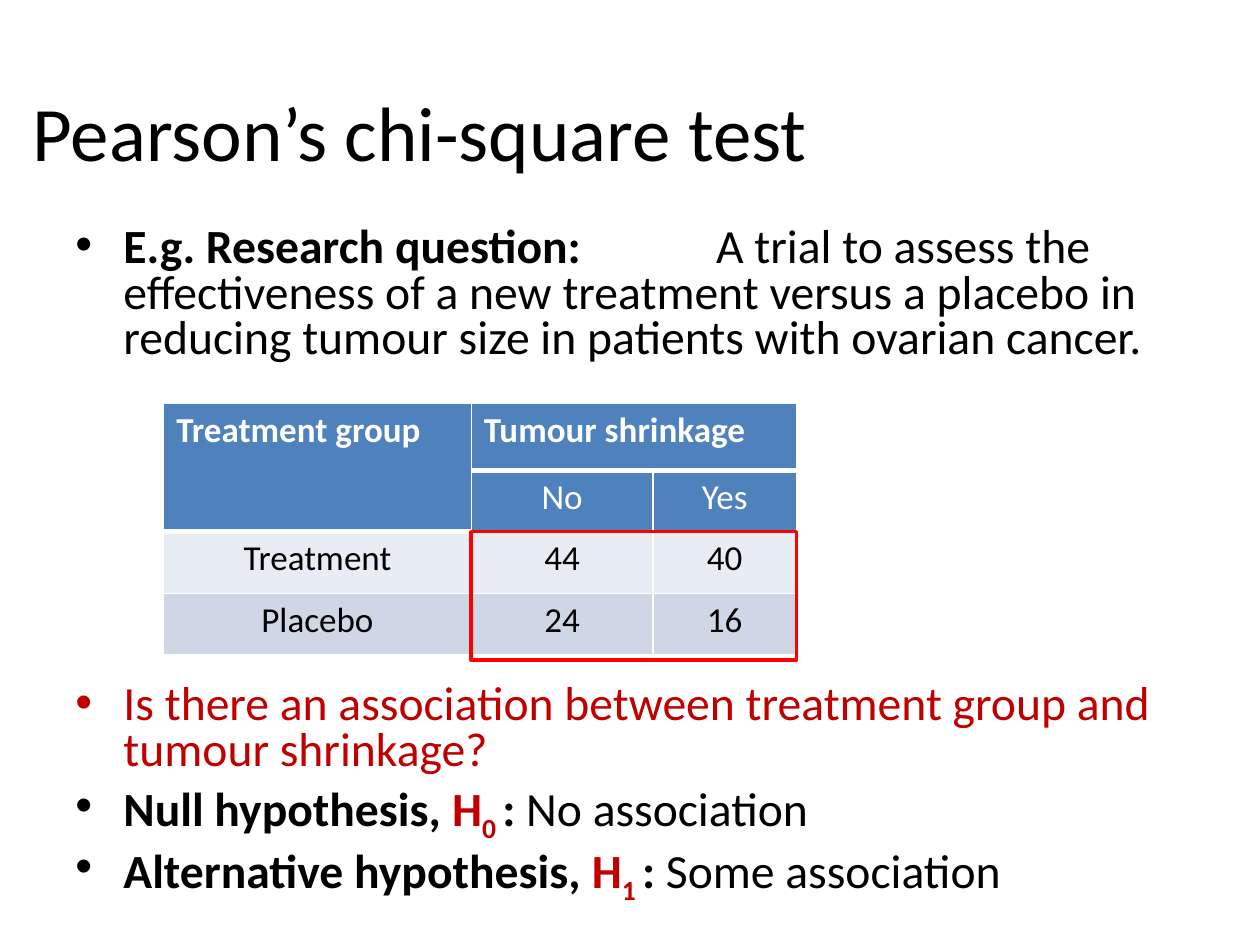
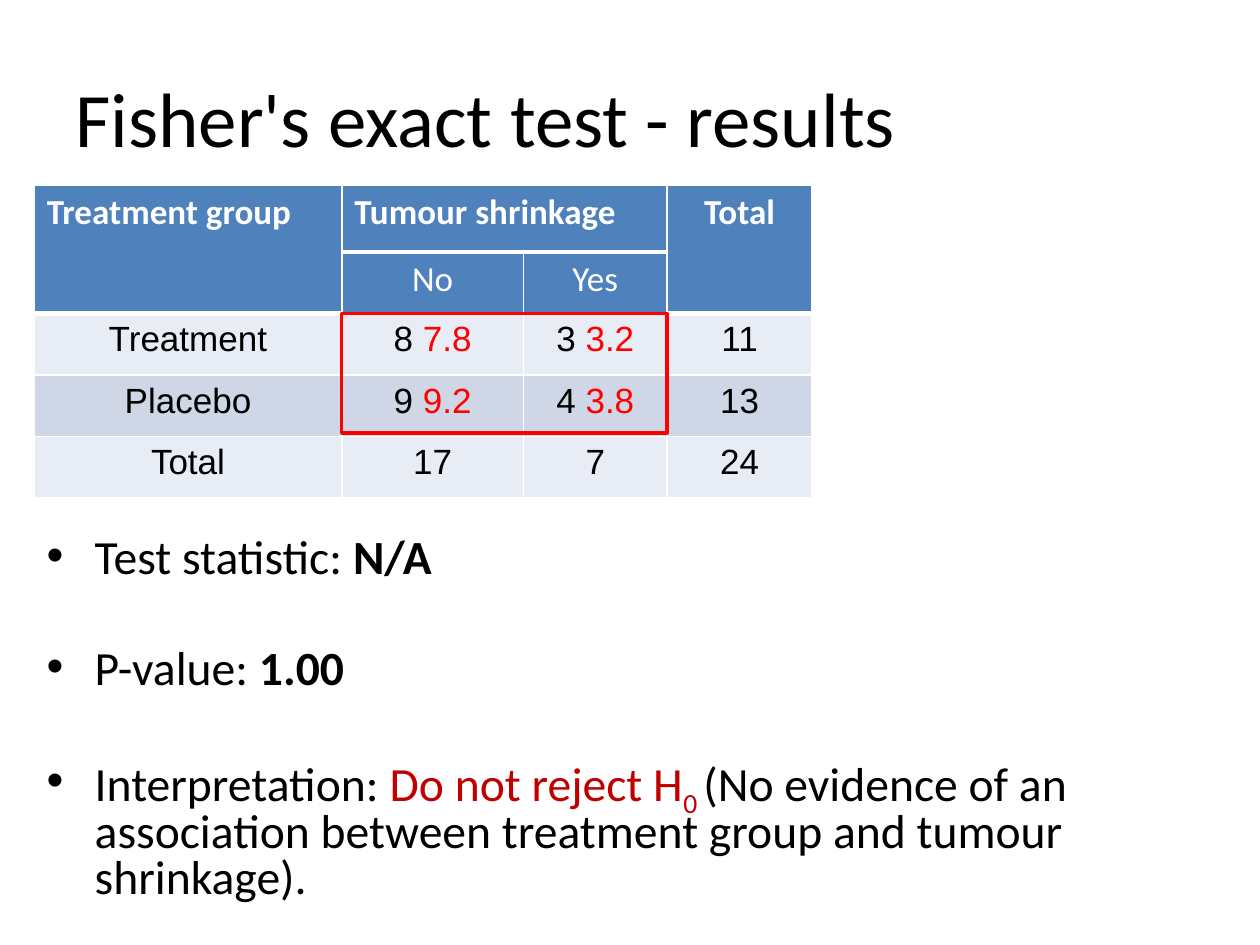
from dataclasses import dataclass

from lxml import etree
from pptx import Presentation
from pptx.dml.color import RGBColor
from pptx.enum.shapes import MSO_SHAPE
from pptx.enum.text import MSO_ANCHOR, PP_ALIGN
from pptx.oxml.ns import qn
from pptx.util import Cm, Pt

# Shared style
BLACK, WHITE = "000000", "FFFFFF"
DARK_RED, RED = "C00000", "FF0000"
HEADER_BLUE = "4F81BD"
BAND_FILLS = ["E8ECF4", "CFD7E7"]
BODY_SIZE, TABLE_SIZE, TITLE_SIZE = 27.2, 20, 44
INDENT = 0.97
COLUMN_WIDTHS = [6.2, 3.66, 2.9, 2.92]
HEADER_HEIGHT, ROW_HEIGHT = 1.35, 1.24


@dataclass
class Box:
    left: float
    top: float
    width: float
    height: float

    def lengths(self):
        return [Cm(n) for n in (self.left, self.top, self.width, self.height)]


def color(hex_string):
    return RGBColor.from_string(hex_string)


def add_run(paragraph, text, size=BODY_SIZE, font="Calibri", fill=BLACK,
            bold=False, subscript=False):
    run = paragraph.add_run()
    run.text = text
    run.font.size = Pt(size)
    run.font.name = font
    run.font.bold = bold
    run.font.color.rgb = color(fill)
    if subscript:
        run._r.get_or_add_rPr().set("baseline", "-25000")


def add_text_frame(slide, box):
    frame = slide.shapes.add_textbox(*box.lengths()).text_frame
    frame.word_wrap = True
    return frame


def add_title(slide, box, text, line_spacing=1.0, space_after=0):
    frame = add_text_frame(slide, box)
    frame.vertical_anchor = MSO_ANCHOR.MIDDLE
    paragraph = frame.paragraphs[0]
    paragraph.line_spacing = line_spacing
    paragraph.space_after = Pt(space_after)
    add_run(paragraph, text, size=TITLE_SIZE)


def set_bullet(paragraph, fill):
    properties = paragraph._p.get_or_add_pPr()
    properties.set("marL", str(Cm(INDENT)))
    properties.set("indent", str(-Cm(INDENT)))
    properties.set("defTabSz", str(Cm(2.54)))
    bullet_color = etree.SubElement(properties, qn("a:buClr"))
    etree.SubElement(bullet_color, qn("a:srgbClr"), val=fill)
    etree.SubElement(properties, qn("a:buSzPct"), val="101000")
    etree.SubElement(properties, qn("a:buFont"), typeface="Arial")
    etree.SubElement(properties, qn("a:buChar"), char="•")


def add_bullets(slide, box, bullets):
    """Each bullet is its space before, its bullet colour and its runs."""
    frame = add_text_frame(slide, box)
    for index, (space_before, bullet_fill, runs) in enumerate(bullets):
        paragraph = frame.add_paragraph() if index else frame.paragraphs[0]
        paragraph.line_spacing = 0.8
        paragraph.space_before = Pt(space_before)
        set_bullet(paragraph, bullet_fill)
        for text, style in runs:
            add_run(paragraph, text, **style)


def set_border(cell, side, width):
    line = etree.SubElement(cell._tc.get_or_add_tcPr(), qn(f"a:ln{side}"), w=str(Pt(width)))
    fill = etree.SubElement(line, qn("a:solidFill"))
    etree.SubElement(fill, qn("a:srgbClr"), val=WHITE)


def style_cell(cell, row, fill):
    set_border(cell, "L", 1)
    set_border(cell, "R", 1)
    if row == 0:
        set_border(cell, "T", 1)
    set_border(cell, "B", 3 if row == 0 or cell.is_spanned else 1)
    cell.fill.solid()
    cell.fill.fore_color.rgb = color(fill)
    if row:
        cell.vertical_anchor = MSO_ANCHOR.MIDDLE
        cell.margin_left = cell.margin_right = Cm(0.18)
        cell.margin_top = cell.margin_bottom = 0


def fill_cell(cell, row, column, value, body_font):
    """A value may hold an observed count and an expected one."""
    paragraph = cell.text_frame.paragraphs[0]
    if row or column == 3:
        paragraph.alignment = PP_ALIGN.CENTER
    if row:
        paragraph.line_spacing = 0.65
    if row < 2:
        add_run(paragraph, value, size=TABLE_SIZE, fill=WHITE, bold=row == 0)
        return
    observed, *expected = value if isinstance(value, tuple) else (value,)
    add_run(paragraph, observed, size=TABLE_SIZE, font=body_font)
    for count in expected:
        add_run(paragraph, count, size=TABLE_SIZE, font=body_font, fill=RED)


def add_contingency_table(slide, left, top, body_rows, body_font, highlight_height):
    has_total = len(body_rows[0]) == 4
    total = ["Total"] if has_total else []
    rows = [["Treatment group", "Tumour shrinkage", None] + total,
            [None, "No", "Yes"] + [None] * has_total] + body_rows
    widths = COLUMN_WIDTHS[:len(rows[0])]
    heights = [HEADER_HEIGHT] + [ROW_HEIGHT] * (len(rows) - 1)
    box = Box(left, top, sum(widths), sum(heights))
    table = slide.shapes.add_table(len(rows), len(widths), *box.lengths()).table
    for column, width in zip(table.columns, widths):
        column.width = Cm(width)
    for table_row, height in zip(table.rows, heights):
        table_row.height = Cm(height)

    # Merged headings
    table.cell(0, 0).merge(table.cell(1, 0))
    table.cell(0, 1).merge(table.cell(0, 2))
    if has_total:
        table.cell(0, 3).merge(table.cell(1, 3))

    for row, values in enumerate(rows):
        fill = HEADER_BLUE if row < 2 else BAND_FILLS[row % 2]
        for column, value in enumerate(values):
            cell = table.cell(row, column)
            style_cell(cell, row, fill)
            if value:
                fill_cell(cell, row, column, value, body_font)

    # Frame around the counts
    counts = Box(left + widths[0], top + sum(heights[:2]), sum(widths[1:3]), highlight_height)
    frame = slide.shapes.add_shape(MSO_SHAPE.RECTANGLE, *counts.lengths())
    frame.shadow.inherit = False
    frame.fill.background()
    frame.line.color.rgb = color(RED)
    frame.line.width = Pt(2)


def hypothesis(name, number, statement):
    return [(f"{name} hypothesis, ", {"bold": True}),
            ("H", {"bold": True, "fill": DARK_RED}),
            (f"{number} ", {"bold": True, "fill": DARK_RED, "subscript": True}),
            (": ", {"bold": True}),
            (statement, {})]


def build_chi_square_slide(slide):
    add_title(slide, Box(0.41, 0.76, 24.61, 3.18), "Pearson’s chi-square test",
              line_spacing=1.3, space_after=6)
    add_bullets(slide, Box(1.27, 4.45, 22.86, 13.89), [
        (0, BLACK, [
            ("E.g. Research question:", {"bold": True}),
            ("\t A trial to assess the effectiveness of a new treatment versus a placebo "
             "in reducing tumour size in patients with ovarian cancer.", {})]),
        (183, DARK_RED, [
            ("Is there an association between treatment group and tumour shrinkage?",
             {"fill": DARK_RED})]),
        (5.4, BLACK, hypothesis("Null", 0, "No association")),
        (5.4, BLACK, hypothesis("Alternative", 1, "Some association")),
    ])
    add_contingency_table(slide, 3.3, 8.13, [
        ["Treatment", "44", "40"],
        ["Placebo", "24", "16"],
    ], body_font="Calibri", highlight_height=2.59)


def build_fisher_slide(slide):
    add_title(slide, Box(1.27, 0.76, 22.86, 3.18), "Fisher's exact test - results")
    add_bullets(slide, Box(0.69, 10.72, 24.1, 7.8), [
        (0, BLACK, [("Test statistic: ", {}), ("N/A", {"bold": True})]),
        (37.3, BLACK, [("P-value: ", {}), ("1.00", {"bold": True})]),
        (37.3, BLACK, [
            ("Interpretation: ", {}),
            ("Do not reject H", {"fill": DARK_RED}),
            ("0 ", {"fill": DARK_RED, "subscript": True}),
            ("(No evidence of an association between treatment group and tumour "
             "shrinkage).", {})]),
    ])
    add_contingency_table(slide, 0.69, 3.73, [
        ["Treatment", ("8 ", "7.8"), ("3 ", "3.2"), "11"],
        ["Placebo", ("9 ", "9.2"), ("4 ", "3.8"), "13"],
        ["Total", "17", "7", "24"],
    ], body_font="Arial", highlight_height=2.41)


def main():
    presentation = Presentation()
    presentation.slide_width = Cm(25.4)
    presentation.slide_height = Cm(19.05)
    blank_layout = presentation.slide_layouts[6]
    for build in (build_chi_square_slide, build_fisher_slide):
        build(presentation.slides.add_slide(blank_layout))
    presentation.save("out.pptx")


if __name__ == "__main__":
    main()
